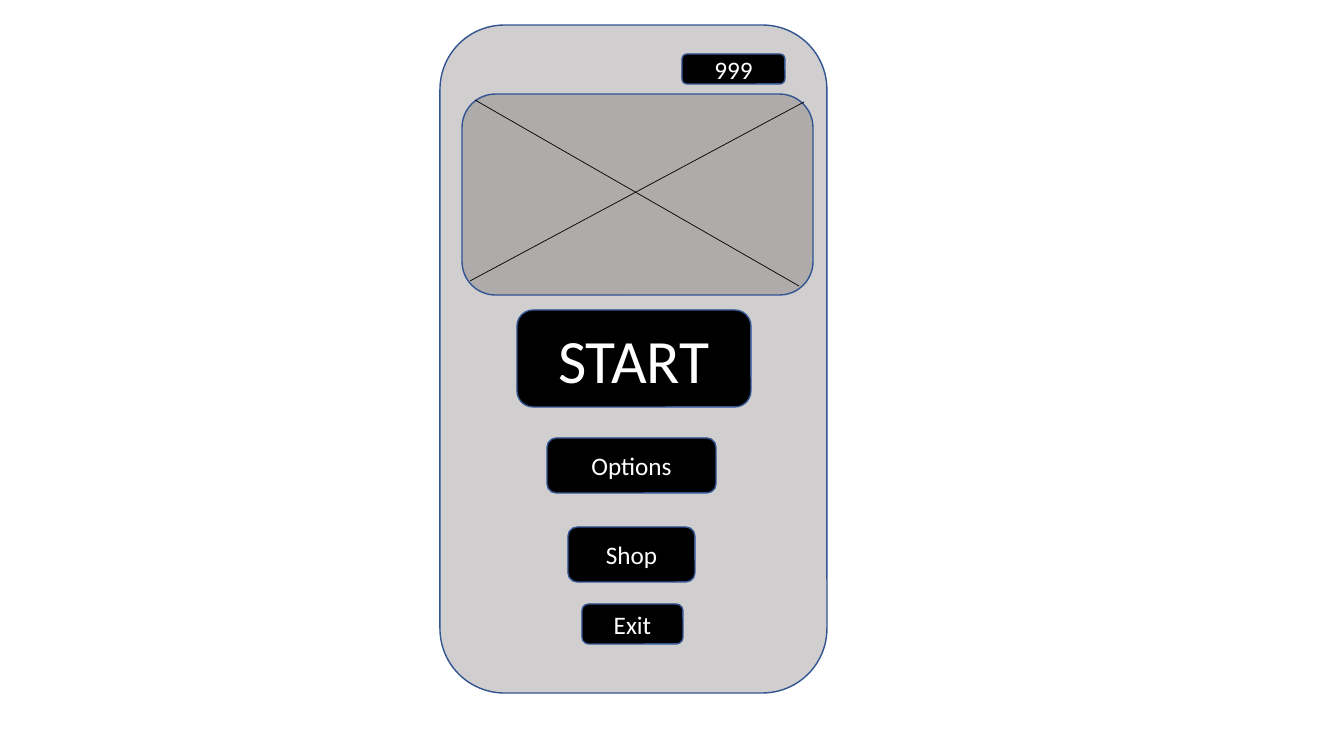
from dataclasses import dataclass

from lxml import etree
from pptx import Presentation
from pptx.dml.color import RGBColor
from pptx.enum.shapes import MSO_CONNECTOR, MSO_SHAPE
from pptx.enum.text import MSO_ANCHOR, PP_ALIGN
from pptx.oxml.ns import qn
from pptx.shapes.autoshape import Shape
from pptx.slide import Slide
from pptx.util import Pt

ROUNDED = MSO_SHAPE.ROUNDED_RECTANGLE
STRAIGHT = MSO_CONNECTOR.STRAIGHT
CENTER = PP_ALIGN.CENTER
MIDDLE = MSO_ANCHOR.MIDDLE

EMU_PER_PIXEL = 914400 / 100.8
SLIDE_WIDTH, SLIDE_HEIGHT = 1344, 756
FONT = "Calibri"
COLORS = {
    "body": "D0CECE",
    "preview": "AFABAB",
    "button": "000000",
    "outline": "325491",
    "cross": "000000",
    "label": "FFFFFF",
}


@dataclass(frozen=True)
class Panel:
    """A rounded box of the game screen, with an optional label."""
    left: int
    top: int
    width: int
    height: int
    fill: str = "button"
    label: str = ""
    size: int = 18


@dataclass(frozen=True)
class Diagonal:
    """A thin line across the preview."""
    start_x: int
    start_y: int
    end_x: int
    end_y: int


PANELS = (
    Panel(440, 25, 387, 668, fill="body"),
    Panel(517, 310, 234, 97, label="START", size=44),
    Panel(547, 438, 169, 55, label="Options"),
    Panel(568, 527, 127, 55, label="Shop"),
    Panel(582, 604, 101, 40, label="Exit"),
    Panel(462, 94, 351, 201, fill="preview"),
)
DIAGONALS = (Diagonal(475, 100, 799, 286), Diagonal(470, 281, 804, 102))
COUNTER = Panel(682, 54, 103, 30, label="999")


def emu(pixels: int) -> int:
    """Turn pixels into EMU."""
    return round(pixels * EMU_PER_PIXEL)


def color(name: str) -> RGBColor:
    """Look up a named colour."""
    return RGBColor.from_string(COLORS[name])


def write_text(shape: Shape, text: str, *, size: int, fill: str = "label") -> None:
    """Write one centred line of text into a shape."""
    frame = shape.text_frame
    frame.word_wrap = True
    frame.vertical_anchor = MIDDLE
    paragraph = frame.paragraphs[0]
    paragraph.alignment = CENTER
    run = paragraph.add_run()
    run.text = text
    run.font.name = FONT
    run.font.size = Pt(size)
    run.font.color.rgb = color(fill)


def draw_panel(slide: Slide, panel: Panel) -> None:
    """Draw a rounded box and its label."""
    bounds = map(emu, (panel.left, panel.top, panel.width, panel.height))
    shape = slide.shapes.add_shape(ROUNDED, *bounds)
    shape.shadow.inherit = False
    shape.fill.solid()
    shape.fill.fore_color.rgb = color(panel.fill)
    shape.line.color.rgb = color("outline")
    shape.line.width = Pt(1)
    if panel.label:
        write_text(shape, panel.label, size=panel.size)


def draw_diagonal(slide: Slide, diagonal: Diagonal) -> None:
    """Draw one line of the preview's cross."""
    ends = map(emu, (diagonal.start_x, diagonal.start_y,
                     diagonal.end_x, diagonal.end_y))
    connector = slide.shapes.add_connector(STRAIGHT, *ends)
    connector.line.color.rgb = color("cross")
    connector.line.width = Pt(0.5)
    etree.SubElement(connector._element.spPr, qn("a:effectLst"))


def main() -> None:
    """Build and save the slide."""
    presentation = Presentation()
    presentation.slide_width = emu(SLIDE_WIDTH)
    presentation.slide_height = emu(SLIDE_HEIGHT)
    slide = presentation.slides.add_slide(presentation.slide_layouts[6])
    for panel in PANELS:
        draw_panel(slide, panel)
    for diagonal in DIAGONALS:
        draw_diagonal(slide, diagonal)
    draw_panel(slide, COUNTER)
    presentation.save("out.pptx")


main()
